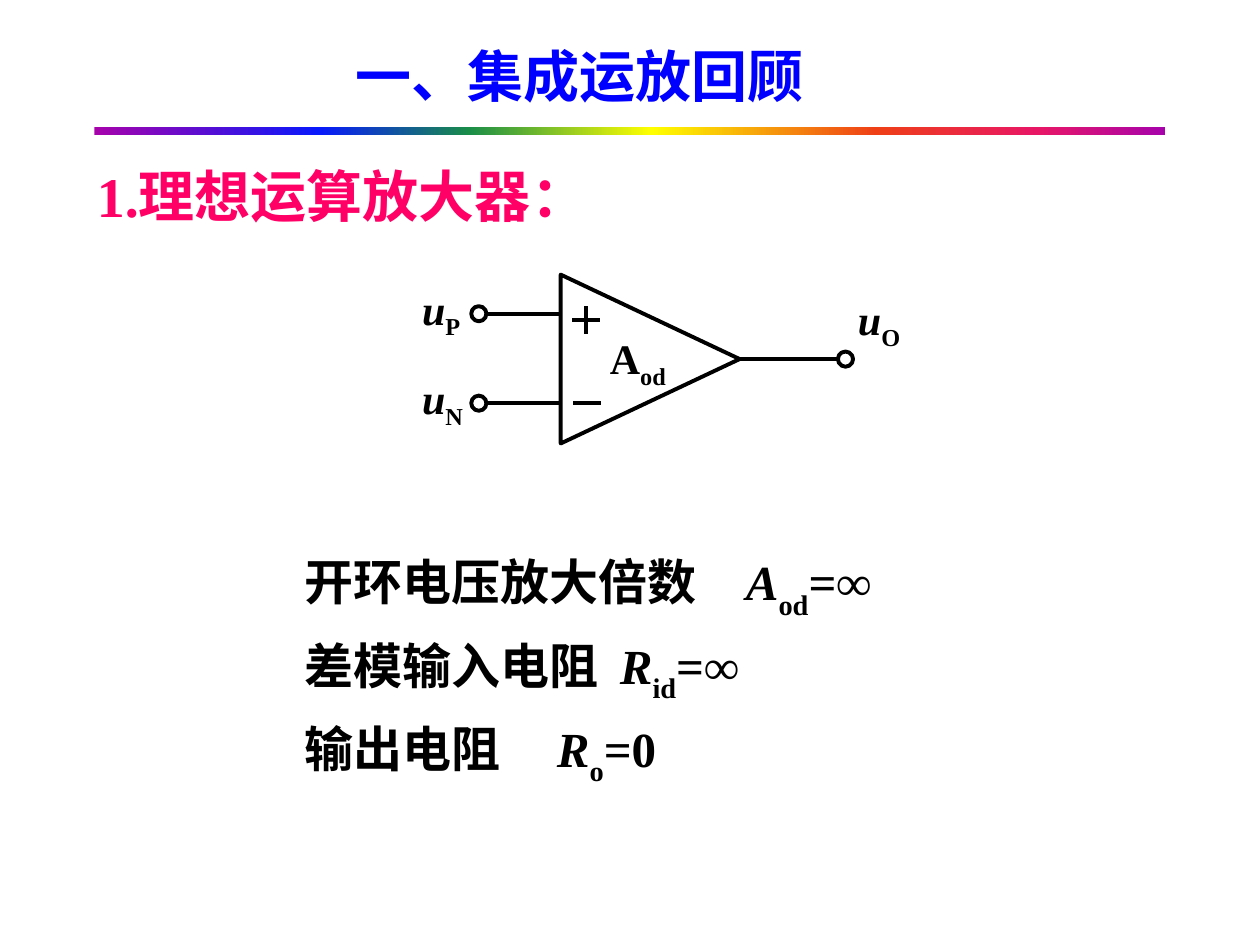
from dataclasses import dataclass

from lxml.etree import SubElement
from pptx import Presentation
from pptx.dml.color import RGBColor
from pptx.enum.shapes import MSO_CONNECTOR, MSO_SHAPE
from pptx.enum.text import MSO_ANCHOR, MSO_AUTO_SIZE, PP_ALIGN
from pptx.oxml.ns import qn
from pptx.util import Inches, Pt

FONT = "Times New Roman"
BLACK, WHITE, BLUE, PINK = "000000", "FFFFFF", "0000FF", "FF0066"
RAINBOW = [(0, "A603AB"), (21, "0819FB"), (35, "1A8D48"), (52, "FFFF00"),
           (73, "EE3F17"), (88, "E81766"), (100, "A603AB")]
PROPERTIES = [("开环电压放大倍数", 3.28, "A", "od", "=∞"),
              ("差模输入电阻", 2.86, "R", "id", "=∞"),
              ("输出电阻", 2.44, "R", "o", "=0")]


@dataclass
class Box:
    """Region measured on a grid of 100 columns by 75 rows."""
    left: float
    top: float
    width: float
    height: float

    def inner(self, x, y, width, height):
        """Return a smaller box placed relative to this one."""
        return Box(self.left + x, self.top + y, width, height)

    def lengths(self):
        """Return left, top, width and height as slide lengths."""
        return [Inches(cells / 10) for cells in (self.left, self.top, self.width, self.height)]


def colour(value):
    """Turn a hex string into a colour."""
    return RGBColor.from_string(value)


def style(para, size, value=BLACK):
    """Set the bold font of a paragraph."""
    font = para.font
    font.name, font.size, font.bold = FONT, Pt(size), True
    font.color.rgb = colour(value)


def add_span(para, text, italic=False, baseline=0):
    """Add a run, slanted or lowered if asked."""
    span = para.add_run()
    span.text = text
    if italic:
        span.font.italic = True
    if baseline:
        span.font._element.set("baseline", str(baseline * 1000))


def place(shape, box):
    """Move a shape into a box."""
    shape.left, shape.top, shape.width, shape.height = box.lengths()


def add_heading(shape, text, value):
    """Write a large left-aligned heading in a shape."""
    frame = shape.text_frame
    frame.word_wrap, frame.auto_size = True, MSO_AUTO_SIZE.NONE
    frame.vertical_anchor = MSO_ANCHOR.MIDDLE
    para = frame.paragraphs[0]
    para.text, para.alignment = text, PP_ALIGN.LEFT
    style(para, 32, value)


def add_rainbow(page, box):
    """Draw the horizontal rainbow bar."""
    bar = page.shapes.add_shape(MSO_SHAPE.RECTANGLE, *box.lengths())
    bar.shadow.inherit = False
    bar.line.fill.background()
    bar.fill.gradient()
    bar.fill.gradient_angle = 0
    stops = bar._element.spPr.find(qn("a:gradFill")).find(qn("a:gsLst"))
    stops.clear()
    for position, value in RAINBOW:
        stop = SubElement(stops, qn("a:gs"), pos=str(position * 1000))
        SubElement(stop, qn("a:srgbClr"), val=value)


def add_wire(page, start, end):
    """Draw a straight black line between two boxes' corners."""
    ends = start.lengths()[:2] + end.lengths()[:2]
    wire = page.shapes.add_connector(MSO_CONNECTOR.STRAIGHT, *ends)
    wire.line.color.rgb, wire.line.width = colour(BLACK), Pt(2.25)
    SubElement(wire._element.spPr, qn("a:effectLst"))


def add_outline(page, kind, box):
    """Draw a white shape with a black outline."""
    shape = page.shapes.add_shape(kind, *box.lengths())
    shape.shadow.inherit = False
    shape.fill.solid()
    shape.fill.fore_color.rgb = colour(WHITE)
    shape.line.color.rgb, shape.line.width = colour(BLACK), Pt(2.25)
    return shape


def add_symbol(page, box, letter, index, italic=True):
    """Write a letter with a subscript."""
    frame = page.shapes.add_textbox(*box.lengths()).text_frame
    frame.margin_left = frame.margin_right = frame.margin_top = frame.margin_bottom = 0
    frame.word_wrap = False
    para = frame.paragraphs[0]
    style(para, 24)
    add_span(para, letter, italic)
    add_span(para, index, baseline=-25)


def add_circuit(page, box):
    """Draw the operational amplifier with its terminals."""
    base, length, middle = 11, 14.2, box.height / 2
    tip, output, radius = base + length, 33.6, 0.6

    def wire(x1, y1, x2, y2):
        add_wire(page, box.inner(x1, y1, 0, 0), box.inner(x2, y2, 0, 0))

    def terminal(x, y):
        add_outline(page, MSO_SHAPE.OVAL,
                    box.inner(x - radius, y - radius, 2 * radius, 2 * radius))

    amplifier = add_outline(page, MSO_SHAPE.ISOSCELES_TRIANGLE, box.inner(
        base + (length - box.height) / 2, (box.height - length) / 2, box.height, length))
    amplifier.rotation = 90
    add_symbol(page, box.inner(14.9, 4.6, 4.8, 4), "A", "od", italic=False)
    wire(11.9, 3.6, 14.1, 3.6)
    wire(13, 2.5, 13, 4.7)
    wire(12, 10.2, 14.2, 10.2)
    for y, index, width in ((3.1, "P", 3.2), (10.2, "N", 3.5)):
        wire(4.7, y, base, y)
        terminal(4.5, y)
        add_symbol(page, box.inner(0, y - 2.4, width, 4), "u", index)
    wire(tip, middle, output, middle)
    terminal(output, middle)
    add_symbol(page, box.inner(34.6, 1.5, 3.6, 4), "u", "O")


def add_properties(body, box):
    """List the ideal values, each after its own tab stop."""
    place(body, box)
    frame = body.text_frame
    frame.auto_size = MSO_AUTO_SIZE.NONE
    for number, (name, stop, letter, index, value) in enumerate(PROPERTIES):
        para = frame.add_paragraph() if number else frame.paragraphs[0]
        para.alignment, para.line_spacing, para.space_before = PP_ALIGN.LEFT, 1.2, Pt(0)
        style(para, 28)
        settings = para._p.get_or_add_pPr()
        settings.set("marL", "0")
        settings.set("indent", "0")
        font = settings.find(qn("a:defRPr"))
        font.addprevious(settings.makeelement(qn("a:buNone")))
        tabs = settings.makeelement(qn("a:tabLst"))
        font.addprevious(tabs)
        SubElement(tabs, qn("a:tab"), pos=str(Inches(stop)), algn="l")
        add_span(para, name + "\t")
        add_span(para, letter, italic=True)
        add_span(para, index, baseline=-30)
        add_span(para, value)


def main():
    """Build and save the slide."""
    deck = Presentation()
    deck.slide_width, deck.slide_height = Inches(10), Inches(7.5)
    page = deck.slides.add_slide(deck.slide_layouts[1])
    title, body = page.placeholders
    add_rainbow(page, Box(7.5, 10.1, 85, 0.6))
    place(title, Box(27.2, 2.8, 40.9, 6.3))
    add_heading(title, "一、集成运放回顾", BLUE)
    subtitle = page.shapes.add_textbox(*Box(6.7, 12.3, 46.5, 6.3).lengths())
    add_heading(subtitle, "1.理想运算放大器：", PINK)
    add_circuit(page, Box(33.5, 21.8, 38.2, 13.4))
    add_properties(body, Box(23.2, 42.2, 50, 17.8))
    deck.save("out.pptx")


if __name__ == "__main__":
    main()
